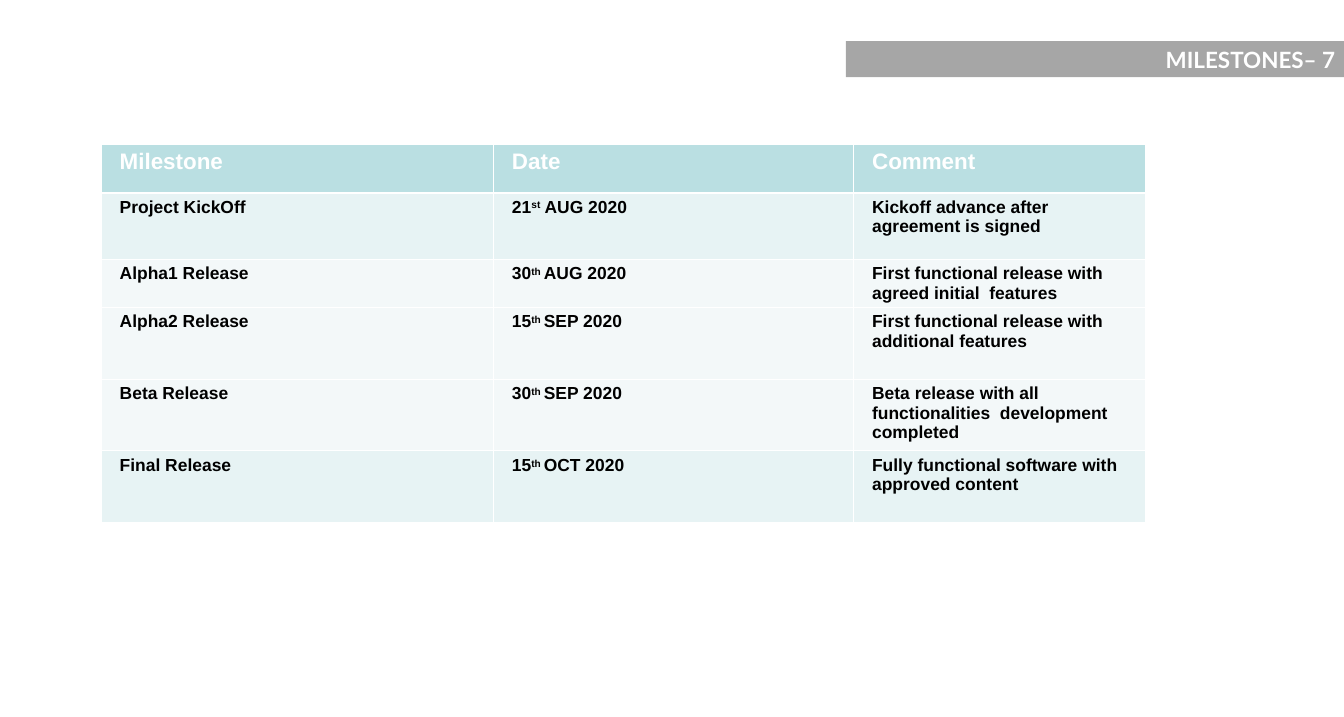
from pptx import Presentation
from pptx import util as u
from pptx.dml.color import RGBColor
from pptx.enum import shapes, text
from pptx.oxml import parse_xml
from pptx.oxml.ns import nsdecls, qn

HUES = {"head": "BADFE2", "band": "E7F3F4", "pale": "F3F8F9",
        "white": "FFFFFF", "black": "000000"}
WIDTHS = (11.12, 10.21, 8.27)
HEIGHTS = (1.37, 1.88, 1.24, 2.03, 2.03, 2.03)
THIN, THICK = 0.45, 1.47

# Dates are day, raised suffix, month and year
HEADS = ("Milestone", "Date", "Comment")
STEPS = (
    ("band", "Project KickOff", ("21", "st", " AUG 2020"),
     "Kickoff advance after agreement is signed"),
    ("pale", "Alpha1 Release", ("30", "th ", "AUG 2020"),
     "First functional release with agreed initial  features"),
    ("pale", "Alpha2 Release", ("15", "th ", "SEP 2020"),
     "First functional release with additional features"),
    ("pale", "Beta Release", ("30", "th ", "SEP 2020"),
     "Beta release with all functionalities  development completed"),
    ("band", "Final Release", ("15", "th ", "OCT 2020"),
     "Fully functional software with approved content"),
)


def color(name):
    return RGBColor.from_string(HUES[name])


def style(run, face, size, hue):
    run.font.name = face
    run.font.size = u.Pt(size)
    run.font.bold = True
    run.font.color.rgb = color(hue)


def edge(cell, side, width):
    """Draw one white border; call before the cell is filled."""
    cell._tc.get_or_add_tcPr().append(parse_xml(
        f'<a:{side} {nsdecls("a")} w="{u.Pt(width)}"><a:solidFill>'
        f'<a:srgbClr val="{HUES["white"]}"/></a:solidFill></a:{side}>'))


def write(cell, parts, size, hue, gap):
    """Write the parts in one paragraph, the second of them raised."""
    para = cell.text_frame.paragraphs[0]
    para.space_before = u.Pt(gap)
    para._p.get_or_add_pPr().set("marL", str(u.Cm(0.28)))
    for i, part in enumerate(parts):
        run = para.add_run()
        run.text = part
        style(run, "Arial", size, hue)
        if i == 1:
            rise = 30 if part == "st" else 23
            run._r.get_or_add_rPr().set("baseline", str(rise * 1000))


def banner(slide, x, y, w, h):
    """Translucent title bar at the right edge."""
    bar = slide.shapes.add_shape(shapes.MSO_SHAPE.RECTANGLE, x, y, w, h)
    bar.shadow.inherit = False
    bar.line.fill.background()
    bar.fill.solid()
    bar.fill.fore_color.rgb = color("black")
    tint = bar._element.spPr.find(".//" + qn("a:srgbClr"))
    tint.append(parse_xml(f'<a:alpha {nsdecls("a")} val="35000"/>'))
    frame = bar.text_frame
    frame.vertical_anchor = text.MSO_ANCHOR.MIDDLE
    frame.text = "MILESTONES– 7"
    para = frame.paragraphs[0]
    para.alignment = text.PP_ALIGN.RIGHT
    style(para.runs[0], "Lato", 18, "white")


def plan(slide, x, y, w, h):
    """Table of milestones."""
    table = slide.shapes.add_table(
        len(HEIGHTS), len(WIDTHS), x, y, w, h).table
    for col, width in zip(table.columns, WIDTHS):
        col.width = u.Cm(width)
    for row, height in zip(table.rows, HEIGHTS):
        row.height = u.Cm(height)

    for r, (fill, *items) in enumerate((("head", *HEADS), *STEPS)):
        size, hue, gap = (14, "black", 1.6) if r else (18, "white", 1)
        for c, item in enumerate(items):
            cell = table.cell(r, c)
            edges = {"lnL": THIN, "lnR": THIN,
                     "lnT": THICK if r == 1 else THIN,
                     "lnB": THICK if r == 0 else THIN}
            for side, width in edges.items():
                edge(cell, side, width)
            cell.fill.solid()
            cell.fill.fore_color.rgb = color(fill)
            parts = (item,) if isinstance(item, str) else item
            write(cell, parts, size, hue, gap)


def main():
    deck = Presentation()
    deck.slide_width, deck.slide_height = u.Cm(38.1), u.Cm(20.32)
    slide = deck.slides.add_slide(deck.slide_layouts[6])
    plan(slide, u.Cm(2.86), u.Cm(4.1), u.Cm(sum(WIDTHS)), u.Cm(sum(HEIGHTS)))
    banner(slide, u.Cm(23.98), u.Cm(1.17), u.Cm(14.12), u.Cm(1.02))
    deck.save("out.pptx")


if __name__ == "__main__":
    main()
